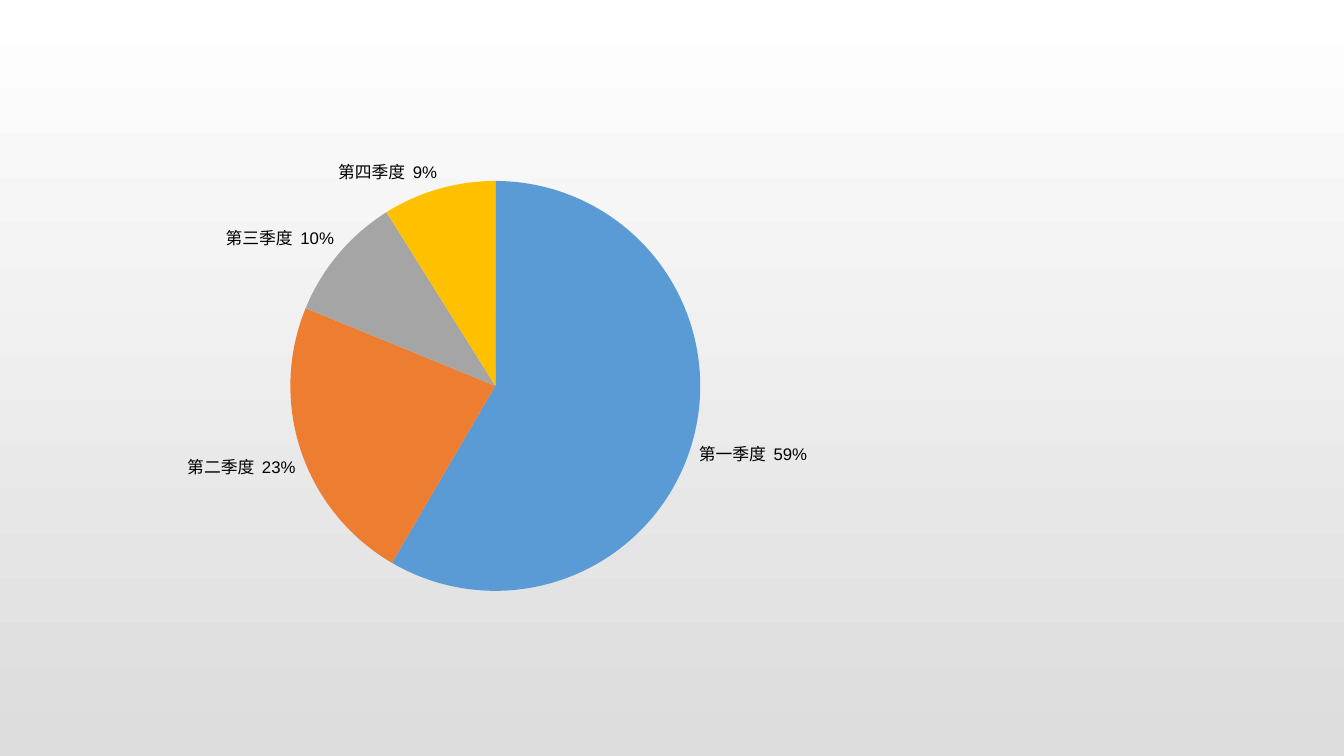
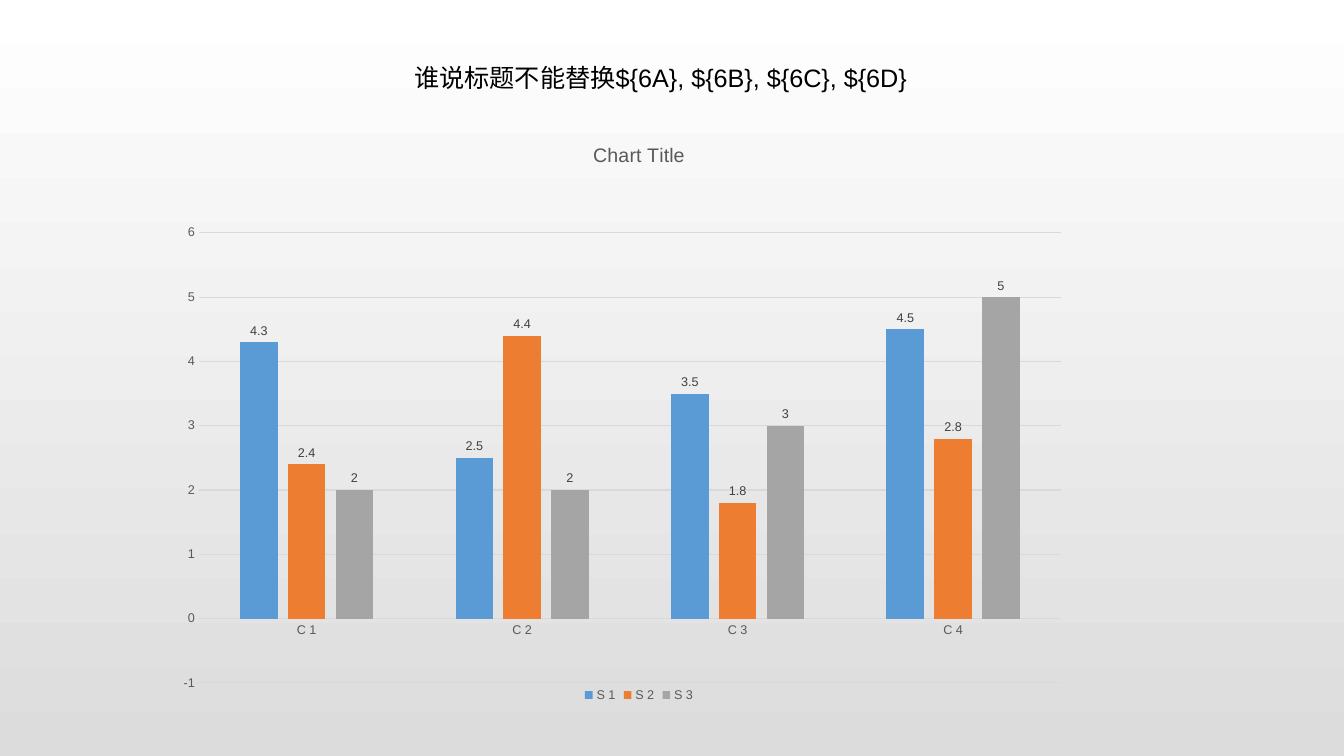
from lxml import etree
from pptx import Presentation
from pptx.chart.data import CategoryChartData
from pptx.dml.color import RGBColor
from pptx.enum.chart import XL_CHART_TYPE, XL_LABEL_POSITION, XL_LEGEND_POSITION, XL_TICK_MARK
from pptx.enum.text import MSO_AUTO_SIZE, PP_ALIGN
from pptx.oxml.ns import qn
from pptx.util import Pt

PIE = XL_CHART_TYPE.PIE
COLUMNS = XL_CHART_TYPE.COLUMN_CLUSTERED
OUTSIDE_END = XL_LABEL_POSITION.OUTSIDE_END
LEGEND_BOTTOM = XL_LEGEND_POSITION.BOTTOM
NO_TICK = XL_TICK_MARK.NONE
FIT_SHAPE = MSO_AUTO_SIZE.SHAPE_TO_FIT_TEXT
CENTER = PP_ALIGN.CENTER

FONT = "Arial"
BLACK, DARK, GRAY, RULE = "000000", "404040", "595959", "D9D9D9"
BACKGROUND = ["FFFFFF", "DCDCDC"]
PALETTE = ["5B9BD5", "ED7D31", "A5A5A5", "FFC000"]


def color(value):
    return RGBColor.from_string(value)


def style_font(font, size, value):
    formats = {"name": FONT, "size": Pt(size), "bold": False}
    for name, setting in formats.items():
        setattr(font, name, setting)
    font.color.rgb = color(value)


deck = Presentation()
deck.slide_width, deck.slide_height = Pt(960), Pt(540)
title_only, blank = deck.slide_layouts[5], deck.slide_layouts[6]

background = deck.slide_master.background.fill
background.gradient()
background.gradient_angle = 270
for stop, value in zip(background.gradient_stops, BACKGROUND):
    stop.color.rgb = color(value)

page = deck.slides.add_slide(blank)
quarters = CategoryChartData()
quarters.categories = ["第一季度", "第二季度", "第三季度", "第四季度"]
quarters.add_series("Series 1", [59, 23, 10, 9])
pie = page.shapes.add_chart(PIE, Pt(54), Pt(100), Pt(601), Pt(332), quarters).chart
pie.has_title = False
pie.has_legend = False
style_font(pie.font, 18, BLACK)

slices = pie.plots[0].series[0]
for index, value in enumerate(PALETTE):
    fill = slices.points[index].format.fill
    fill.solid()
    fill.fore_color.rgb = color(value)

labels = slices.data_labels
label_formats = {
    "show_value": True,
    "show_category_name": True,
    "show_percentage": False,
    "number_format": '0"%"',
    "number_format_is_linked": False,
    "position": OUTSIDE_END,
}
for name, setting in label_formats.items():
    setattr(labels, name, setting)
style_font(labels.font, 12, BLACK)
separator = etree.Element(qn("c:separator"))
separator.text = "  "
labels._element.find(qn("c:showBubbleSize")).addnext(separator)

page = deck.slides.add_slide(title_only)
title = page.shapes.title
title.left, title.top, title.width, title.height = Pt(284.4), Pt(41), Pt(375), Pt(29)
frame = title.text_frame
frame.text = "谁说标题不能替换${6A}, ${6B}, ${6C}, ${6D}"
frame.word_wrap = False
frame.auto_size = FIT_SHAPE
para = frame.paragraphs[0]
para.alignment = CENTER
style_font(para.runs[0].font, 18, BLACK)

groups = CategoryChartData()
groups.categories = ["C 1", "C 2", "C 3", "C 4"]
groups.add_series("S 1", [4.3, 2.5, 3.5, 4.5])
groups.add_series("S 2", [2.4, 4.4, 1.8, 2.8])
groups.add_series("S 3", [2, 2, 3, 5])
columns = page.shapes.add_chart(COLUMNS, Pt(129), Pt(87), Pt(655), Pt(417.6), groups).chart
style_font(columns.font, 10, BLACK)

columns.has_title = True
heading = columns.chart_title
heading.include_in_layout = False
heading.text_frame.text = "Chart Title"
style_font(heading.text_frame.paragraphs[0].runs[0].font, 14, GRAY)

columns.has_legend = True
columns.legend.position = LEGEND_BOTTOM
columns.legend.include_in_layout = False
style_font(columns.legend.font, 9, GRAY)

category_axis, value_axis = columns.category_axis, columns.value_axis
for axis in (category_axis, value_axis):
    axis.major_tick_mark = axis.minor_tick_mark = NO_TICK
    style_font(axis.tick_labels.font, 9, GRAY)
scale = {"minimum_scale": -1, "maximum_scale": 6, "major_unit": 1, "has_major_gridlines": True}
for name, setting in scale.items():
    setattr(value_axis, name, setting)
value_axis.format.line.fill.background()
for line in (category_axis.format.line, value_axis.major_gridlines.format.line):
    line.width = Pt(0.75)
    line.color.rgb = color(RULE)

plot = columns.plots[0]
plot.gap_width, plot.overlap, plot.vary_by_categories = 219, -27, False
for series, value in zip(plot.series, PALETTE):
    series.format.fill.solid()
    series.format.fill.fore_color.rgb = color(value)
    labels = series.data_labels
    labels.show_value = True
    labels.position = OUTSIDE_END
    style_font(labels.font, 9, DARK)

plot_area = columns._chartSpace.chart.plotArea
for layout in plot_area.findall(qn("c:layout")):
    plot_area.remove(layout)
layout = etree.Element(qn("c:layout"))
plot_area.insert(0, layout)
manual = etree.SubElement(layout, qn("c:manualLayout"))
placement = {
    "layoutTarget": "inner",
    "xMode": "edge",
    "yMode": "edge",
    "x": "0.02",
    "y": "0.19",
    "w": "0.94",
    "h": "0.77",
}
for name, setting in placement.items():
    etree.SubElement(manual, qn("c:" + name)).set("val", setting)

deck.save("out.pptx")
